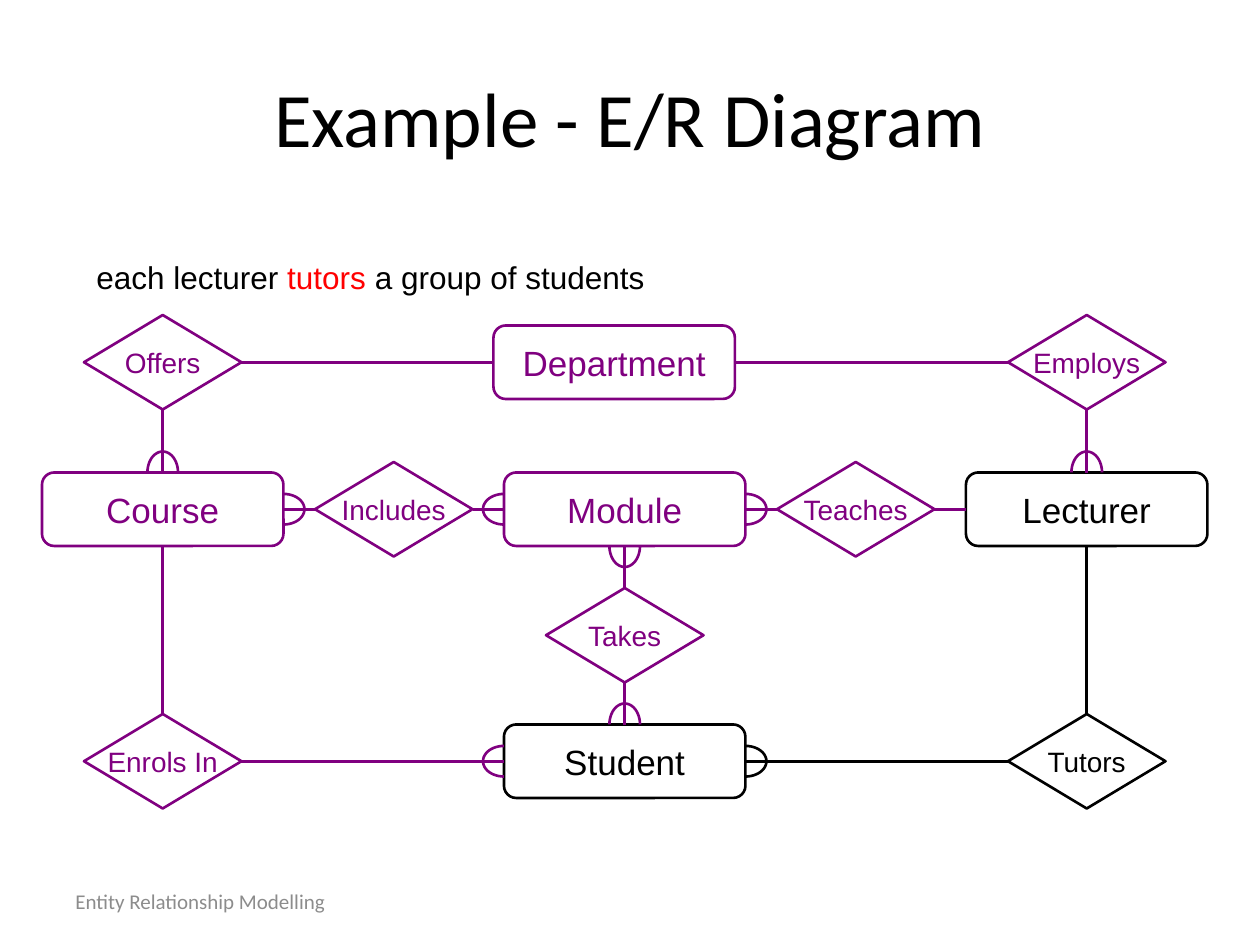
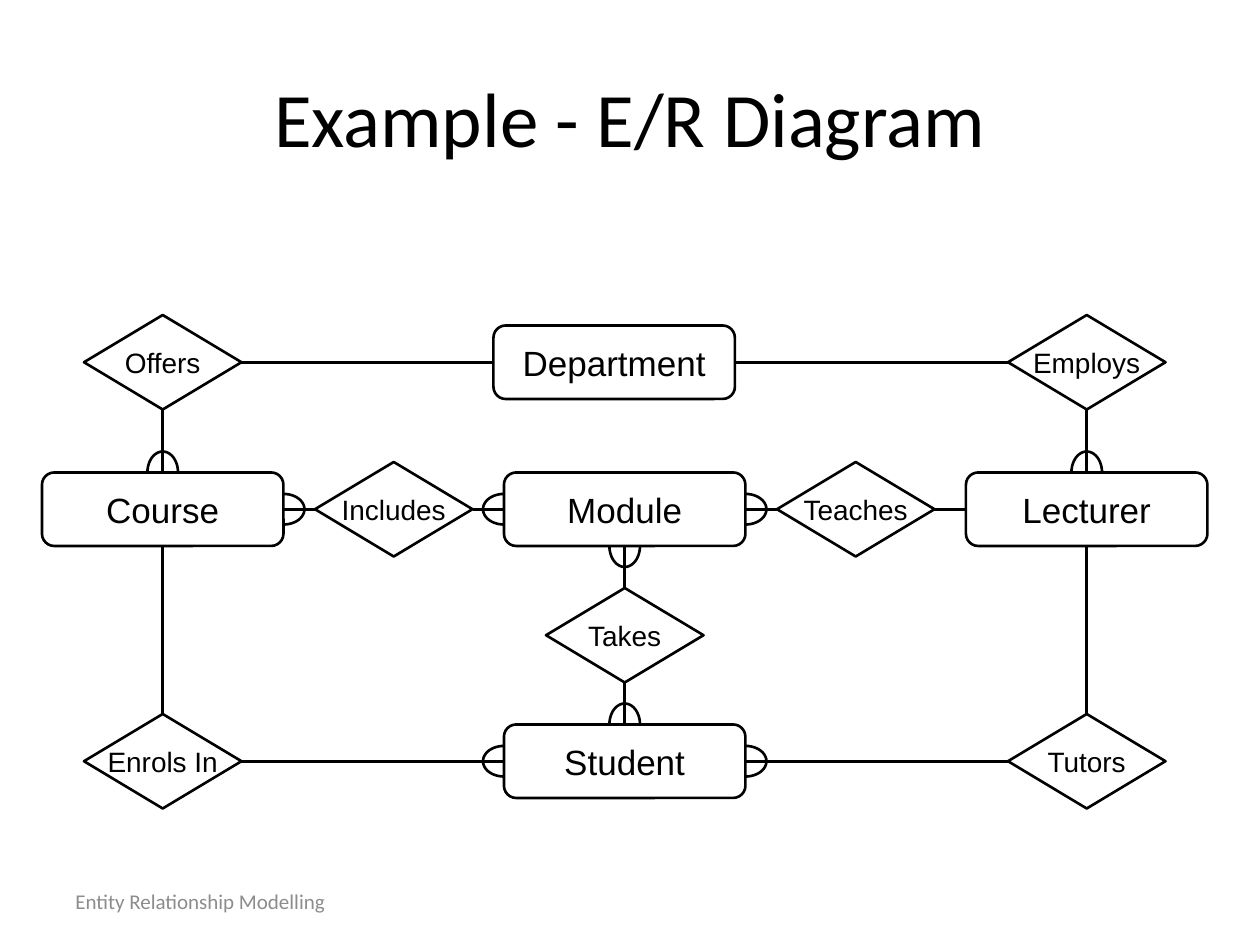
"""Build two slides showing an entity-relationship diagram with its newest part in black."""
import dataclasses
import enum
import math
import typing

import pptx
import pptx.dml.color
import pptx.enum.shapes
import pptx.enum.text
import pptx.oxml.ns
import pptx.shapes.autoshape
import pptx.slide
import pptx.text.text
import pptx.util

Pt = pptx.util.Pt
RGBColor = pptx.dml.color.RGBColor
Shapes = pptx.enum.shapes.MSO_SHAPE
Align = pptx.enum.text.PP_ALIGN
Anchor = pptx.enum.text.MSO_ANCHOR

BLACK = RGBColor(0x00, 0x00, 0x00)
PURPLE = RGBColor(0x80, 0x00, 0x80)
RED = RGBColor(0xFF, 0x00, 0x00)
GREY = RGBColor(0x8C, 0x8C, 0x8C)

COLUMNS = [93 + 132 * index for index in range(5)]
ROWS = [207, 291, 363, 435]
LINE_WIDTH = 1.5
MANY_DEPTH = 12
MANY_RADIUS = 8.75
MANY_STEPS = 24


class Side(enum.IntEnum):
    TOP = 0
    LEFT = 1
    BOTTOM = 2
    RIGHT = 3

    @property
    def opposite(self) -> "Side":
        return Side((self + 2) % 4)


DIRECTIONS = {
    Side.TOP: (0, -1),
    Side.LEFT: (-1, 0),
    Side.BOTTOM: (0, 1),
    Side.RIGHT: (1, 0),
}


@dataclasses.dataclass(frozen=True)
class NodeStyle:
    preset: Shapes
    width: float
    height: float
    text_size: float


@dataclasses.dataclass(frozen=True)
class Node:
    name: str
    style: NodeStyle
    x: float
    y: float

    def edge(self, side: Side) -> tuple[float, float]:
        across, down = DIRECTIONS[side]
        return (
            self.x + across * self.style.width / 2,
            self.y + down * self.style.height / 2,
        )


class Link(typing.NamedTuple):
    entity: str
    side: Side
    relationship: str
    many: bool


class TextRun(typing.NamedTuple):
    text: str
    color: RGBColor


@dataclasses.dataclass(frozen=True)
class Label:
    runs: tuple[TextRun, ...]
    box: tuple[float, float, float, float]
    font: dict[str, typing.Any]
    alignment: Align = Align.LEFT
    anchor: Anchor = Anchor.MIDDLE


ENTITY = NodeStyle(Shapes.ROUNDED_RECTANGLE, 138, 42, 20)
RELATIONSHIP = NodeStyle(Shapes.DIAMOND, 90, 54, 16)

NODES = {
    node.name: node
    for node in (
        Node("Module", ENTITY, COLUMNS[2], ROWS[1]),
        Node("Course", ENTITY, COLUMNS[0], ROWS[1]),
        Node("Department", ENTITY, COLUMNS[2] - 6, ROWS[0]),
        Node("Student", ENTITY, COLUMNS[2], ROWS[3]),
        Node("Lecturer", ENTITY, COLUMNS[4], ROWS[1]),
        Node("Includes", RELATIONSHIP, COLUMNS[1], ROWS[1]),
        Node("Offers", RELATIONSHIP, COLUMNS[0], ROWS[0]),
        Node("Tutors", RELATIONSHIP, COLUMNS[4], ROWS[3]),
        Node("Enrols In", RELATIONSHIP, COLUMNS[0], ROWS[3]),
        Node("Takes", RELATIONSHIP, COLUMNS[2], ROWS[2]),
        Node("Employs", RELATIONSHIP, COLUMNS[4], ROWS[0]),
        Node("Teaches", RELATIONSHIP, COLUMNS[3], ROWS[1]),
    )
}

LINKS = (
    Link("Course", Side.RIGHT, "Includes", True),
    Link("Module", Side.LEFT, "Includes", True),
    Link("Module", Side.RIGHT, "Teaches", True),
    Link("Lecturer", Side.LEFT, "Teaches", False),
    Link("Lecturer", Side.TOP, "Employs", True),
    Link("Department", Side.RIGHT, "Employs", False),
    Link("Department", Side.LEFT, "Offers", False),
    Link("Course", Side.TOP, "Offers", True),
    Link("Course", Side.BOTTOM, "Enrols In", False),
    Link("Student", Side.LEFT, "Enrols In", True),
    Link("Student", Side.TOP, "Takes", True),
    Link("Module", Side.BOTTOM, "Takes", True),
    Link("Student", Side.RIGHT, "Tutors", True),
    Link("Lecturer", Side.BOTTOM, "Tutors", False),
)

FOOTER = Label(
    (TextRun("Entity Relationship Modelling", GREY),),
    (36, 500.5, 168, 28.75),
    {"name": "Calibri", "size": Pt(12)},
)
TITLE = Label(
    (TextRun("Example - E/R Diagram", BLACK),),
    (36, 21.6, 648, 90),
    {"name": "Calibri", "size": Pt(44)},
    Align.CENTER,
)
CAPTION = Label(
    (
        TextRun("each lecturer ", BLACK),
        TextRun("tutors ", RED),
        TextRun("a group of students", BLACK),
    ),
    (48, 144, 624, 29),
    {"name": "Arial", "size": Pt(18)},
    anchor=Anchor.TOP,
)


def apply_format(target: typing.Any, values: dict[str, typing.Any]) -> None:
    for name, value in values.items():
        setattr(target, name, value)


def add_run(
    paragraph: pptx.text.text._Paragraph, text_run: TextRun, font: dict[str, typing.Any]
) -> None:
    run = paragraph.add_run()
    run.text = text_run.text
    apply_format(run.font, font)
    run.font.color.rgb = text_run.color


def add_label(slide: pptx.slide.Slide, label: Label) -> None:
    frame = slide.shapes.add_textbox(*map(Pt, label.box)).text_frame
    apply_format(frame, {"word_wrap": True, "vertical_anchor": label.anchor})
    paragraph = frame.paragraphs[0]
    paragraph.alignment = label.alignment
    for text_run in label.runs:
        add_run(paragraph, text_run, label.font)


def outline(shape: pptx.shapes.autoshape.Shape, color: RGBColor) -> None:
    shape.shadow.inherit = False
    shape.fill.background()
    shape.line.color.rgb = color
    shape.line.width = Pt(LINE_WIDTH)


def add_node(
    slide: pptx.slide.Slide, node: Node, color: RGBColor
) -> pptx.shapes.autoshape.Shape:
    style = node.style
    left, top = node.x - style.width / 2, node.y - style.height / 2
    shape = slide.shapes.add_shape(
        style.preset, Pt(left), Pt(top), Pt(style.width), Pt(style.height)
    )
    outline(shape, color)
    frame = shape.text_frame
    apply_format(frame, {"word_wrap": False, "vertical_anchor": Anchor.MIDDLE})
    paragraph = frame.paragraphs[0]
    paragraph.alignment = Align.CENTER
    font = {"name": "Arial", "size": Pt(style.text_size)}
    add_run(paragraph, TextRun(node.name, color), font)
    return shape


def add_link(
    slide: pptx.slide.Slide,
    link: Link,
    shapes: dict[str, pptx.shapes.autoshape.Shape],
    color: RGBColor,
) -> None:
    start = NODES[link.entity].edge(link.side)
    end = NODES[link.relationship].edge(link.side.opposite)
    connector = slide.shapes.add_connector(
        pptx.enum.shapes.MSO_CONNECTOR.STRAIGHT, *map(Pt, start + end)
    )
    connector.begin_connect(shapes[link.entity], link.side)
    connector.end_connect(shapes[link.relationship], link.side.opposite)
    connector.line.color.rgb = color
    connector.line.width = Pt(LINE_WIDTH)
    properties = connector._element.spPr
    properties.append(properties.makeelement(pptx.oxml.ns.qn("a:effectLst"), {}))


def add_many_mark(slide: pptx.slide.Slide, link: Link, color: RGBColor) -> None:
    x, y = NODES[link.entity].edge(link.side)
    across, down = DIRECTIONS[link.side]
    points = []
    for step in range(MANY_STEPS + 1):
        angle = math.pi * (step / MANY_STEPS - 0.5)
        depth = MANY_DEPTH * math.cos(angle)
        offset = MANY_RADIUS * math.sin(angle)
        points.append(
            (
                Pt(x + across * depth - down * offset),
                Pt(y + down * depth + across * offset),
            )
        )
    builder = slide.shapes.build_freeform(*points[0])
    builder.add_line_segments(points[1:], close=False)
    outline(builder.convert_to_shape(), color)


def add_diagram_slide(
    presentation: typing.Any, earlier_color: RGBColor, newest: frozenset[str]
) -> pptx.slide.Slide:
    slide = presentation.slides.add_slide(presentation.slide_layouts[6])
    colors = {name: BLACK if name in newest else earlier_color for name in NODES}
    add_label(slide, FOOTER)
    add_label(slide, TITLE)
    shapes = {name: add_node(slide, node, colors[name]) for name, node in NODES.items()}
    for link in LINKS:
        add_link(slide, link, shapes, colors[link.relationship])
    for link in LINKS:
        if link.many:
            add_many_mark(slide, link, colors[link.relationship])
    return slide


def main() -> None:
    presentation = pptx.Presentation()
    apply_format(presentation, {"slide_width": Pt(720), "slide_height": Pt(540)})
    newest = frozenset({"Lecturer", "Tutors", "Student"})
    tutoring_slide = add_diagram_slide(presentation, PURPLE, newest)
    add_label(tutoring_slide, CAPTION)
    add_diagram_slide(presentation, BLACK, frozenset(NODES))
    presentation.save("out.pptx")


if __name__ == "__main__":
    main()
